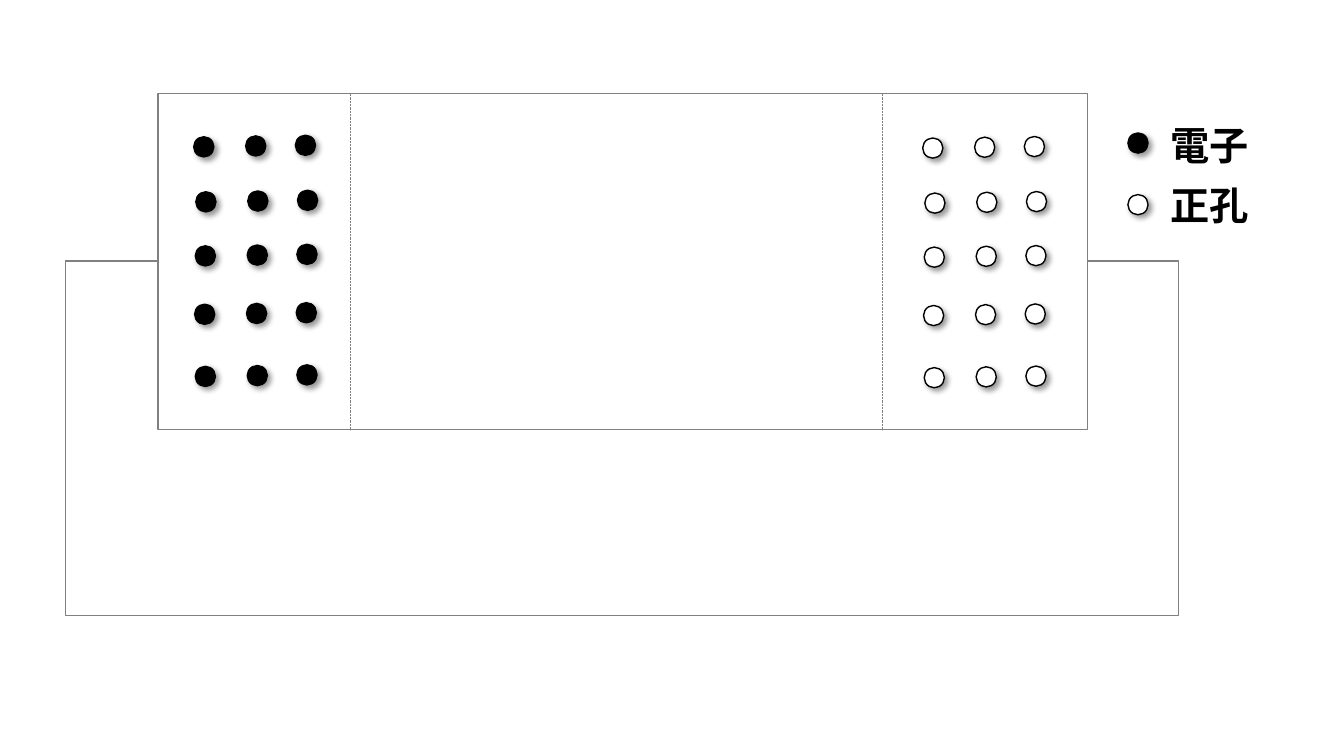
"""Build a slide of a semiconductor wired in a loop, with electrons and holes at its two ends."""
from dataclasses import dataclass
from itertools import product

from lxml import etree
from pptx import Presentation
from pptx import util as u
from pptx.dml.color import RGBColor
from pptx.enum import dml, shapes, text
from pptx.oxml import ns


@dataclass(frozen=True)
class Theme:
    black: RGBColor = RGBColor(0, 0, 0)
    white: RGBColor = RGBColor(255, 255, 255)
    grey: RGBColor = RGBColor(128, 128, 128)
    font: str = "Noto Sans CJK JP"
    label_size: int = 28
    line: float = 1
    thin_line: float = 0.5
    dot: float = 14.4


class Painter:
    def __init__(self, page, theme):
        self.page = page
        self.theme = theme

    def shape(self, kind, left, top, width, height, fill, line):
        shape = self.page.shapes.add_shape(
            kind, u.Pt(left), u.Pt(top), u.Pt(width), u.Pt(height))
        shape.shadow.inherit = False
        shape.fill.solid()
        shape.fill.fore_color.rgb = fill
        shape.line.color.rgb = line
        shape.line.width = u.Pt(self.theme.line)
        return shape

    def frame(self, left, top, width, height):
        self.shape(shapes.MSO_SHAPE.RECTANGLE, left, top, width, height,
                   self.theme.white, self.theme.grey)

    def carrier(self, left, top, fill):
        size = self.theme.dot
        dot = self.shape(shapes.MSO_SHAPE.OVAL, left, top, size, size,
                         fill, self.theme.black)
        effects = dot._element.spPr.find(ns.qn("a:effectLst"))
        shadow = etree.SubElement(
            effects, ns.qn("a:outerShdw"), blurRad=str(u.Pt(4)),
            dist=str(u.Pt(3)), dir="2700000", algn="tl", rotWithShape="0")
        color = etree.SubElement(shadow, ns.qn("a:srgbClr"), val=str(self.theme.black))
        etree.SubElement(color, ns.qn("a:alpha"), val="40000")

    def divider(self, x, top, bottom):
        line = self.page.shapes.add_connector(
            shapes.MSO_CONNECTOR.STRAIGHT, u.Pt(x), u.Pt(top), u.Pt(x), u.Pt(bottom))
        line.line.color.rgb = self.theme.grey
        line.line.width = u.Pt(self.theme.thin_line)
        line.line.dash_style = dml.MSO_LINE.ROUND_DOT
        etree.SubElement(line._element.spPr, ns.qn("a:effectLst"))

    def label(self, left, top, width, height, wording):
        box = self.page.shapes.add_textbox(
            u.Pt(left), u.Pt(top), u.Pt(width), u.Pt(height))
        box.text_frame.word_wrap = False
        box.text_frame.auto_size = text.MSO_AUTO_SIZE.SHAPE_TO_FIT_TEXT
        para = box.text_frame.paragraphs[0]
        para.text = wording
        font = para.font
        font.size = u.Pt(self.theme.label_size)
        font.bold = True
        font.color.rgb = self.theme.black
        font.name = self.theme.font
        etree.SubElement(font._element, ns.qn("a:ea"), typeface=self.theme.font)


def main():
    deck = Presentation()
    deck.slide_width, deck.slide_height = u.Pt(960), u.Pt(540)
    theme = Theme()
    painter = Painter(deck.slides.add_slide(deck.slide_layouts[6]), theme)

    top, height = 67, 239.8
    painter.frame(46.8, 186.5, 794.9, 253.4)
    painter.frame(113, top, 663.8, height)
    for x in (250.6, 630):
        painter.divider(x, top, top + height)

    legend = (("電子", theme.black, 95, 82.8), ("正孔", theme.white, 139, 126))
    for wording, fill, dot_top, label_top in legend:
        painter.carrier(805.7, dot_top, fill)
        painter.label(828.7, label_top, 71.3, 41, wording)

    ends = ((0, 0, theme.black), (520.7, 0.9, theme.white))
    rows = ((138.4, 97.7), (139.9, 137), (139.5, 175.6), (139, 217.3), (139.5, 261.7))
    columns = ((0, 0), (37.1, -0.6), (72.6, -1.1))
    for (shift, drop, fill), (x, y), (dx, dy) in product(ends, rows, columns):
        painter.carrier(x + dx + shift, y + dy + drop, fill)

    deck.save("out.pptx")


if __name__ == "__main__":
    main()
